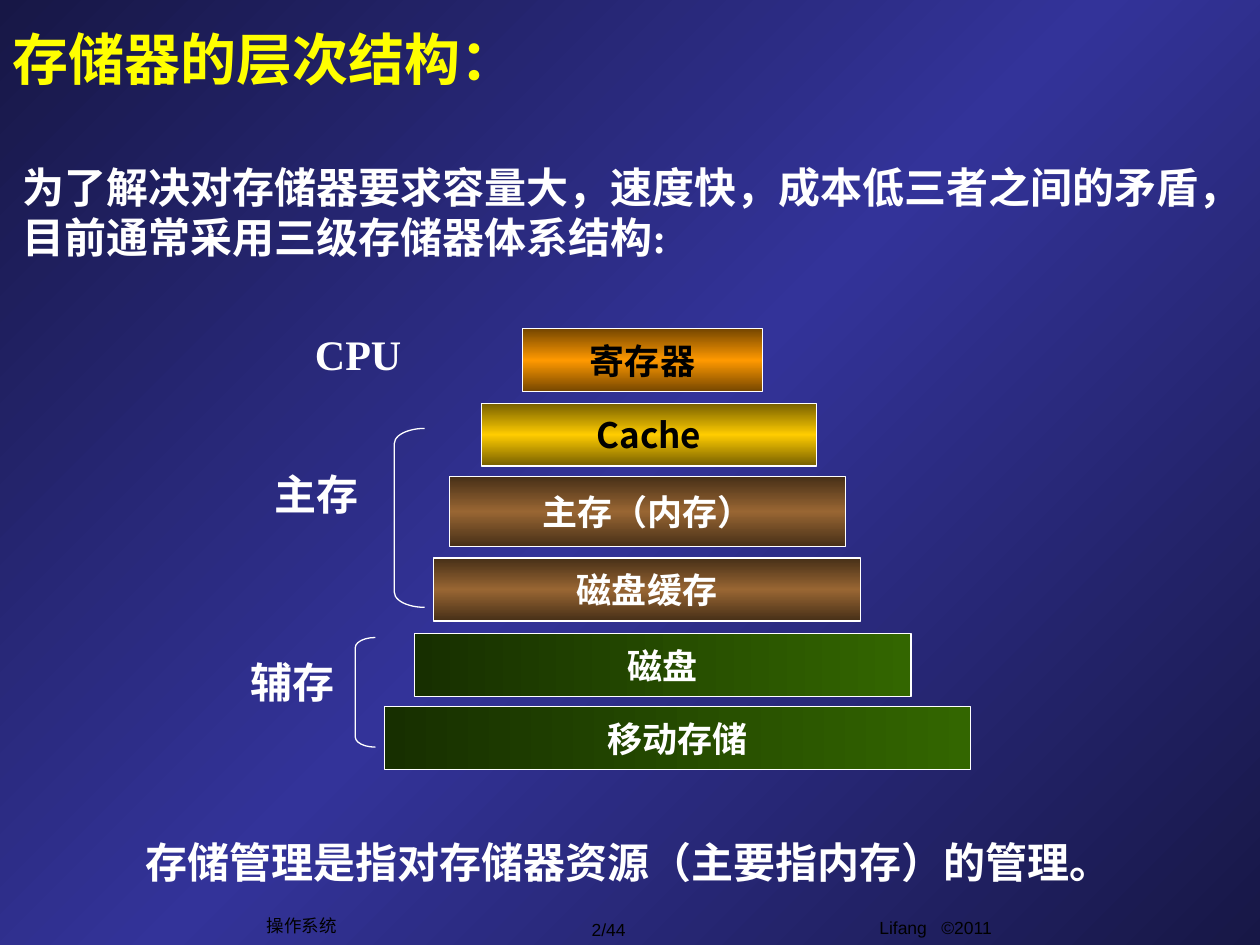
from lxml import etree
from pptx import Presentation
from pptx.dml.color import RGBColor
from pptx.enum.shapes import MSO_SHAPE as Shape
from pptx.enum.text import MSO_ANCHOR as Anchor, MSO_AUTO_SIZE as AutoSize, PP_ALIGN as Align
from pptx.oxml.ns import qn
from pptx.util import Inches, Pt

SERIF, SANS, FOOTER = "Times New Roman", "Noto Sans CJK SC", "Arial"
WHITE, BLACK, YELLOW = "FFFFFF", "000000", "FFFF00"
ORANGE = ["754600", "FF9900", "754600"]
GOLD = ["755E00", "FFCC00", "755E00"]
BROWN = ["462F17", "996633", "462F17"]
GREEN = ["336600", "172F00"]
NAVY = ["171746", "333399", "171746"]


def paint_gradient(fill, element, colors, angle):
    fill.gradient()
    fill.gradient_angle = angle
    stops = next(element.iter(qn("a:gsLst")))
    for stop in list(stops):
        stops.remove(stop)
    for index, color in enumerate(colors):
        position = 100000 * index // (len(colors) - 1)
        stop = etree.SubElement(stops, qn("a:gs"), pos=str(position))
        etree.SubElement(stop, qn("a:srgbClr"), val=color)


def write(shape, text, size, font, color, bold=True, align=Align.LEFT,
          anchor=Anchor.TOP, margins=(0, 0), wrap=True):
    frame = shape.text_frame
    frame.text = text
    frame.word_wrap = wrap
    frame.auto_size = AutoSize.NONE
    frame.vertical_anchor = anchor
    frame.margin_left = frame.margin_right = Inches(margins[0])
    frame.margin_top = frame.margin_bottom = Inches(margins[1])
    paragraph = frame.paragraphs[0]
    paragraph.alignment = align
    paragraph.font.size = Pt(size)
    paragraph.font.name = font
    paragraph.font.bold = bold
    paragraph.font.color.rgb = RGBColor.from_string(color)


presentation = Presentation()
presentation.slide_width = Inches(10)
presentation.slide_height = Inches(7.5)
slide = presentation.slides.add_slide(presentation.slide_layouts[5])
paint_gradient(slide.background.fill, slide.element, NAVY, 135)

title = slide.shapes.title
title.left, title.top = Inches(0), Inches(0.21)
title.width, title.height = Inches(4.41), Inches(0.5)
write(title, "存储器的层次结构：", 32, SERIF, YELLOW, anchor=Anchor.MIDDLE, margins=(0.1, 0.05))

statements = [
    (0.08, 1.23, 9.92, 0.9, "为了解决对存储器要求容量大，速度快，成本低三者之间的矛盾，目前通常采用三级存储器体系结构:"),
    (1.06, 6.59, 7.9, 0.5, "存储管理是指对存储器资源（主要指内存）的管理。"),
]
for left, top, width, height, text in statements:
    box = slide.shapes.add_textbox(Inches(left), Inches(top), Inches(width), Inches(height))
    write(box, text, 24, SERIF, WHITE, margins=(0.1, 0.05))

tiers = [
    ("寄存器", 4.15, 2.61, 1.9, 0.5, ORANGE, 90, BLACK),
    ("Cache", 3.82, 3.2, 2.66, 0.5, GOLD, 90, BLACK),
    ("主存（内存）", 3.57, 3.78, 3.14, 0.56, BROWN, 90, WHITE),
    ("磁盘缓存", 3.44, 4.43, 3.39, 0.5, BROWN, 90, WHITE),
    ("磁盘", 3.29, 5.03, 3.94, 0.5, GREEN, 180, WHITE),
    ("移动存储", 3.05, 5.61, 4.65, 0.5, GREEN, 180, WHITE),
]
for name, left, top, width, height, colors, angle, text_color in tiers:
    tier = slide.shapes.add_shape(
        Shape.RECTANGLE, Inches(left), Inches(top), Inches(width), Inches(height))
    tier.shadow.inherit = False
    paint_gradient(tier.fill, tier.element, colors, angle)
    tier.line.color.rgb = RGBColor.from_string(WHITE)
    tier.line.width = Pt(0.75)
    write(tier, name, 20, SANS, text_color, align=Align.CENTER, anchor=Anchor.MIDDLE, wrap=False)

for name, left, top in [("CPU", 2.5, 2.61), ("主存", 2.18, 3.72), ("辅存", 1.99, 5.21)]:
    label = slide.shapes.add_textbox(Inches(left), Inches(top), Inches(1.57), Inches(0.4))
    write(label, name, 24, SERIF, WHITE)

for left, top, width, height in [(3.13, 3.4, 0.24, 1.42), (2.82, 5.06, 0.16, 0.87)]:
    bracket = slide.shapes.add_shape(
        Shape.LEFT_BRACKET, Inches(left), Inches(top), Inches(width), Inches(height))
    bracket.shadow.inherit = False
    bracket.adjustments[0] = 0.5
    bracket.fill.background()
    bracket.line.color.rgb = RGBColor.from_string(WHITE)
    bracket.line.width = Pt(0.75)

footers = [
    ("操作系统", 2.02, 7.21, 0.75, 0.27, Anchor.MIDDLE, False),
    ("2/44", 4.32, 7.24, 1.02, 0.27, Anchor.MIDDLE, False),
    ("Lifang   ©2011", 5.84, 7.23, 3.17, 0.35, Anchor.TOP, True),
]
for text, left, top, width, height, anchor, wrap in footers:
    footer = slide.shapes.add_textbox(Inches(left), Inches(top), Inches(width), Inches(height))
    write(footer, text, 10, FOOTER, BLACK, bold=False, align=Align.CENTER,
          anchor=anchor, margins=(0.1, 0.05), wrap=wrap)

presentation.save("out.pptx")
